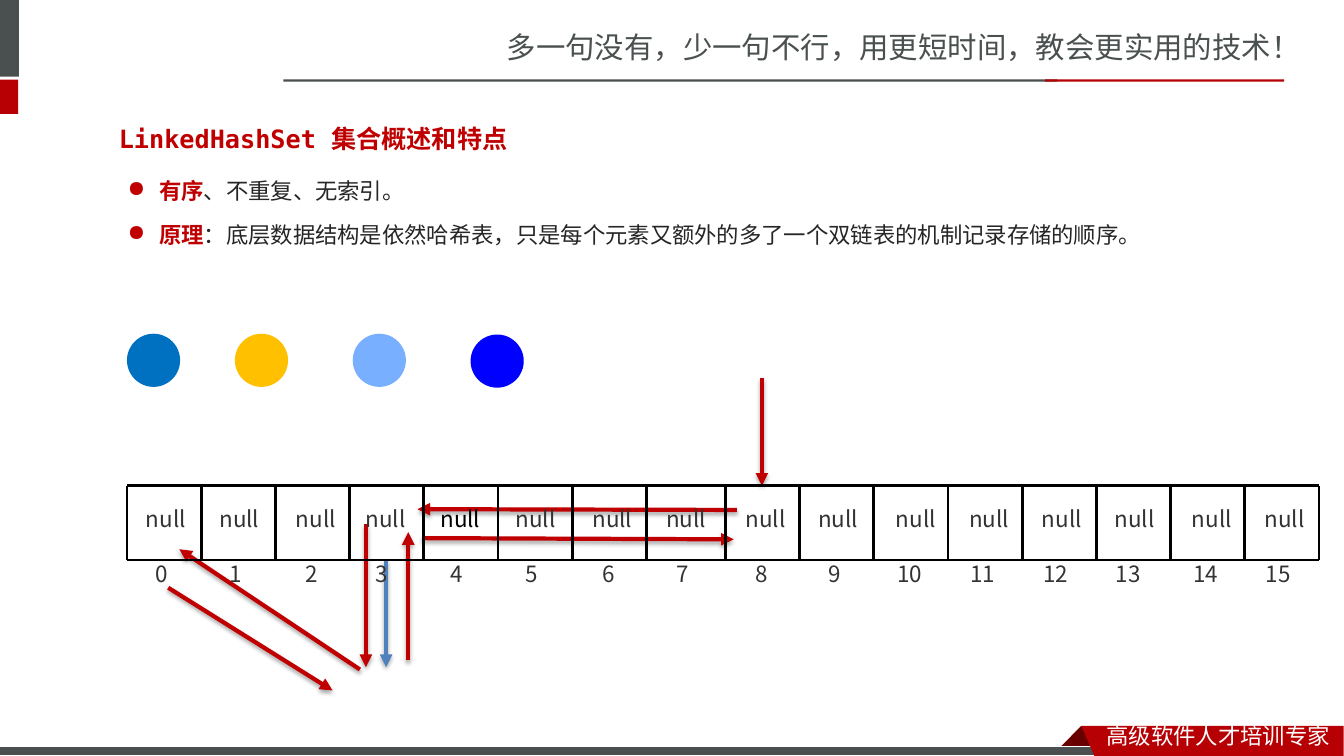
from lxml import etree
from pptx import Presentation
from pptx import util as u
from pptx.dml import color
from pptx.enum import shapes, text
from pptx.oxml import ns

SANS, BULLET_FONT, MONO = "Noto Sans CJK SC", "Noto Sans CJK JP", "DejaVu Sans Mono"
GRAY, RED, ARROW_RED, INK = "49504F", "B60004", "C00000", "333333"


def rgb(hex_code):
    return color.RGBColor.from_string(hex_code)


def add_xml(parent, tag, **attributes):
    return etree.SubElement(parent, ns.qn(tag), attributes)


class Board:
    """Draws styled elements on one slide, with all lengths in centimetres."""

    def __init__(self, slide):
        self.slide = slide
        self.items = slide.shapes

    def fill(self, shape, hex_code):
        shape.shadow.inherit = False
        shape.fill.solid()
        shape.fill.fore_color.rgb = rgb(hex_code)
        shape.line.fill.background()
        return shape

    def block(self, left, top, width, height, hex_code, kind=shapes.MSO_SHAPE.RECTANGLE):
        box = [u.Cm(v) for v in (left, top, width, height)]
        return self.fill(self.items.add_shape(kind, *box), hex_code)

    def polygon(self, corners, hex_code):
        start, *rest = [(u.Cm(x), u.Cm(y)) for x, y in corners]
        outline = self.items.build_freeform(*start)
        outline.add_line_segments(rest, close=True)
        return self.fill(outline.convert_to_shape(), hex_code)

    def line(self, start, end, hex_code="000000", width=2):
        connector = self.items.add_connector(
            shapes.MSO_CONNECTOR.STRAIGHT, *[u.Cm(v) for v in (*start, *end)])
        connector.line.color.rgb = rgb(hex_code)
        connector.line.width = u.Pt(width)
        properties = connector._element.spPr
        return properties, add_xml(properties, "a:effectLst")

    def arrow(self, start, end, hex_code=ARROW_RED):
        properties, effects = self.line(start, end, hex_code, 3)
        add_xml(properties.find(ns.qn("a:ln")), "a:tailEnd", type="triangle")
        shadow = add_xml(effects, "a:outerShdw", blurRad=str(u.Pt(3.1)),
                         dist=str(u.Pt(1.8)), dir="5400000", rotWithShape="0")
        black = add_xml(shadow, "a:srgbClr", val="000000")
        add_xml(black, "a:alpha", val="35000")

    def style(self, run, size, hex_code, font=SANS, bold=False):
        run.font.size, run.font.name, run.font.bold = u.Pt(size), font, bold
        run.font.color.rgb = rgb(hex_code)
        add_xml(run._r.get_or_add_rPr(), "a:ea", typeface=font)

    def frame(self, shape):
        shape.text_frame.word_wrap = True
        shape.text_frame.auto_size = text.MSO_AUTO_SIZE.NONE
        shape.text_frame.vertical_anchor = text.MSO_ANCHOR.TOP
        return shape.text_frame

    def box(self, left, top, width, height):
        return self.frame(self.items.add_textbox(*[u.Cm(v) for v in (left, top, width, height)]))

    def label(self, words, left, top, width, height=0.94, size=16, hex_code=INK):
        frame = self.box(left, top, width, height)
        frame.text = words
        self.style(frame.paragraphs[0].runs[0], size, hex_code)

    def title(self, words, left, top, width, height):
        heading = self.items.title
        heading.left, heading.top = u.Cm(left), u.Cm(top)
        heading.width, heading.height = u.Cm(width), u.Cm(height)
        frame = self.frame(heading)
        frame.text = words
        paragraph = frame.paragraphs[0]
        paragraph.alignment = text.PP_ALIGN.LEFT
        paragraph.line_spacing = 1.5
        self.style(paragraph.runs[0], 18, ARROW_RED, MONO, True)

    def bullets(self, points, left, top, width, height):
        frame = self.box(left, top, width, height)
        for number, (keyword, detail) in enumerate(points):
            paragraph = frame.add_paragraph() if number else frame.paragraphs[0]
            paragraph.line_spacing = 1.65
            properties = paragraph._p.get_or_add_pPr()
            properties.set("marL", str(u.Cm(0.79)))
            properties.set("indent", str(-u.Cm(0.79)))
            add_xml(properties, "a:buChar", char="●")
            for words, hex_code, bold in ((keyword, ARROW_RED, True), (detail, "262626", False)):
                run = paragraph.add_run()
                run.text = words
                self.style(run, 16, hex_code, BULLET_FONT, bold)


def draw_frame(board):
    board.label("多一句没有，少一句不行，用更短时间，教会更实用的技术！",
                12.52, 0.61, 21.34, 1.19, 21, GRAY)
    board.block(0, 0, 0.48, 1.93, GRAY)
    board.block(0, 2.01, 0.46, 0.86, RED)
    board.block(7.14, 2, 19.5, 0.06, GRAY)
    board.block(26.34, 2, 6.02, 0.06, RED)
    board.polygon([(27.25, 18.29), (27.81, 18.85), (27.79, 18.87),
                   (26.72, 18.87), (26.7, 18.85)], "680000")
    strip = board.block(0, 18.82, 27.91, 0.23, GRAY)
    strip.line.color.rgb = rgb("FFFFFF")
    strip.line.width = u.Pt(0.75)
    board.polygon([(27.25, 18.29), (33.86, 18.29), (33.86, 19.05), (27.58, 19.05)], RED)
    board.label("高级软件人才培训专家", 27.64, 18.06, 6.22, 0.94, 16, "FFFFFF")


def draw_hash_table(board):
    left, step, middle_gap, top, bottom = 3.2, 1.87, 0.12, 12.24, 14.11
    edges = [left + step * i + middle_gap * (i >= 8) for i in range(17)]
    null_lefts = [3.43, 5.28, 7.21, 8.97, 10.85, 12.75, 14.68, 16.54,
                  18.54, 20.37, 22.33, 24.18, 26.01, 27.84, 29.79, 31.62]

    board.arrow((9.73, 14.12), (9.73, 16.81), "4F81BD")
    for start, end in (
        ((18.57, 12.85), (10.52, 12.83)), ((10.64, 13.56), (18.49, 13.59)),
        ((19.2, 9.53), (19.2, 12.24)), ((9.22, 13.21), (9.22, 16.81)),
        ((9.07, 16.87), (4.52, 13.84)), ((10.29, 16.64), (10.29, 13.41)),
        ((4.24, 14.81), (8.38, 17.4)),
    ):
        board.arrow(start, end)

    for y in (top, bottom):
        board.line((edges[0], y), (edges[-1], y))
    for x in edges:
        board.line((x, top), (x, bottom))
    for index, x in enumerate(null_lefts):
        board.label("null", x, 12.6, 2, hex_code="000000" if index == 4 else INK)
        board.label(str(index), x + (0.25 if index < 10 else 0.03), 14, 1.2)


def main():
    deck = Presentation()
    deck.slide_width, deck.slide_height = u.Cm(33.87), u.Cm(19.05)
    board = Board(deck.slides.add_slide(deck.slide_layouts[5]))
    draw_frame(board)
    board.title("LinkedHashSet 集合概述和特点", 2.74, 2.59, 21.29, 1.3)
    board.bullets([
        ("有序", "、不重复、无索引。"),
        ("原理", "：底层数据结构是依然哈希表，只是每个元素又额外的多了一个双链表的机制记录存储的顺序。"),
    ], 2.97, 3.89, 27.74, 4.19)
    draw_hash_table(board)
    for x, y, hex_code in ((3.2, 8.41, "0070C0"), (5.92, 8.41, "FFC000"),
                           (8.89, 8.41, "79AFFF"), (11.86, 8.43, "0000FF")):
        board.block(x, y, 1.34, 1.34, hex_code, shapes.MSO_SHAPE.OVAL)
    deck.save("out.pptx")


if __name__ == "__main__":
    main()
